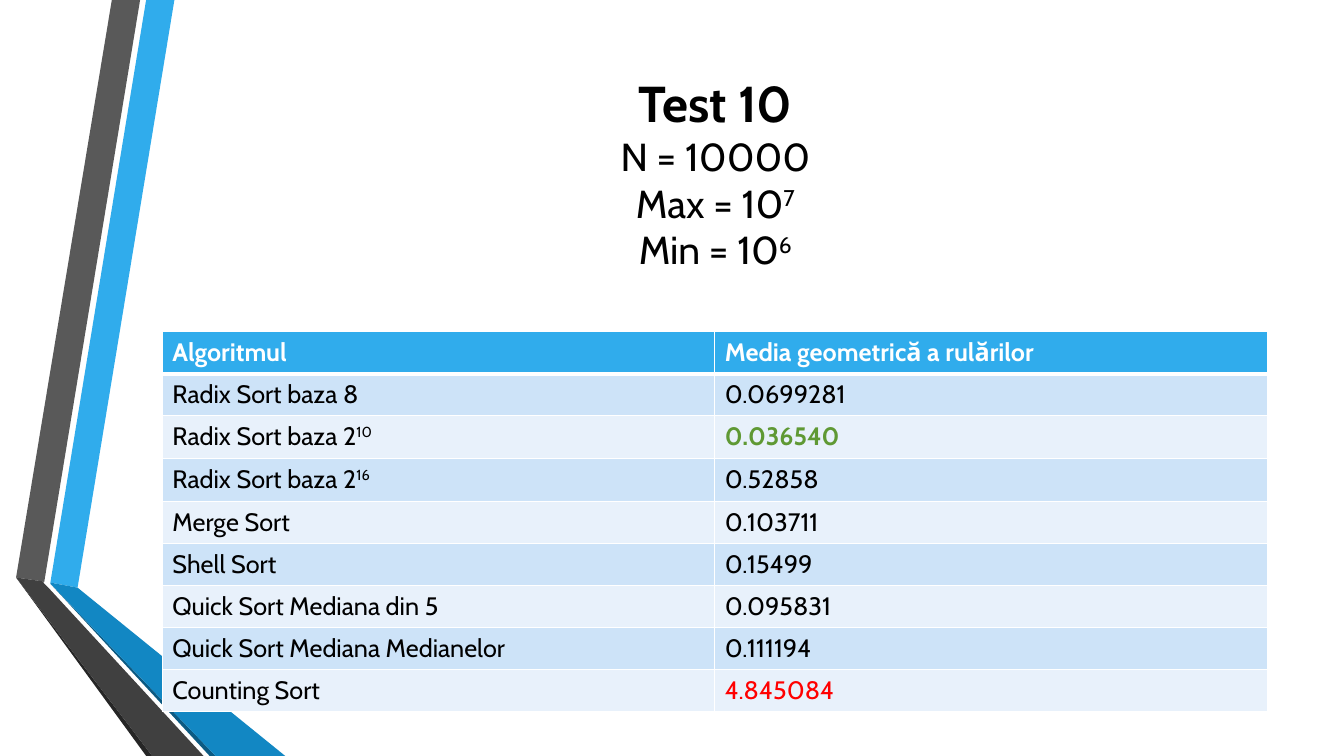
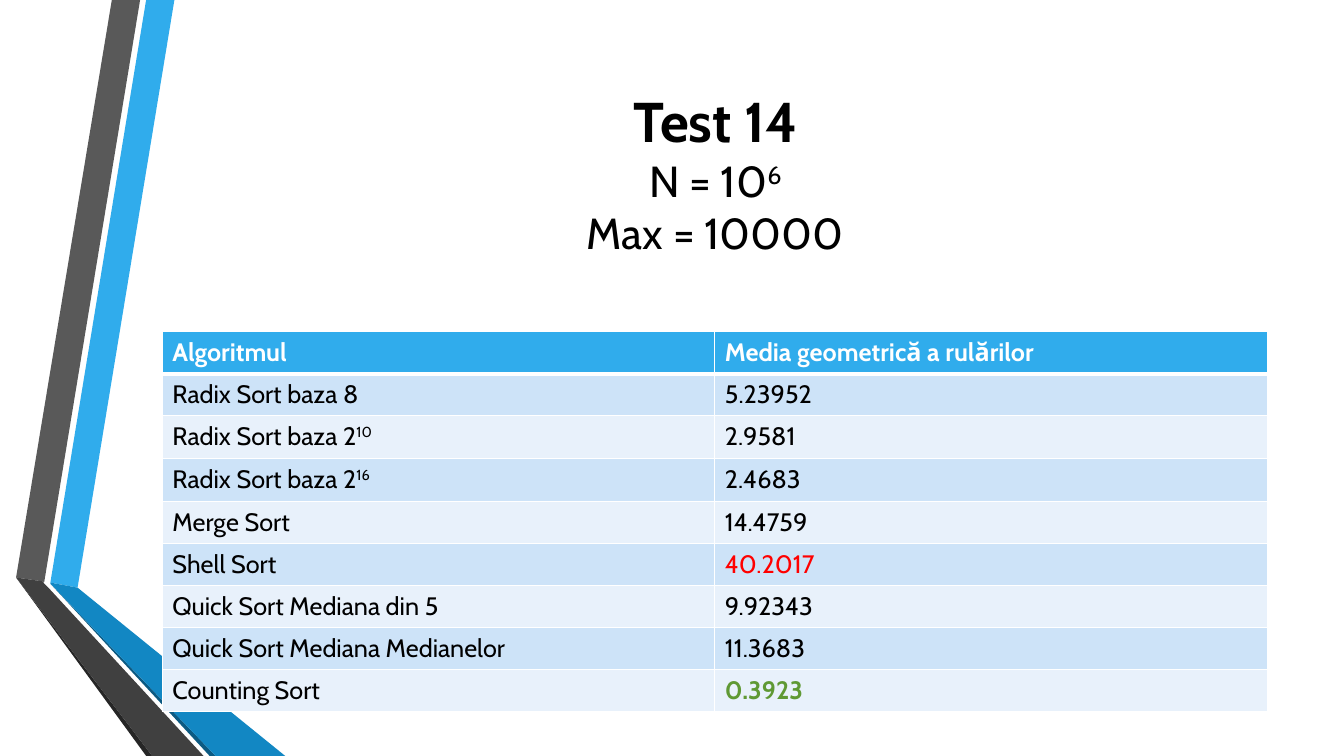
from copy import deepcopy

from lxml.etree import SubElement
from pptx import Presentation
from pptx.dml.color import RGBColor
from pptx.enum.text import MSO_ANCHOR, MSO_AUTO_SIZE, PP_ALIGN
from pptx.oxml.ns import qn
from pptx.util import Inches, Pt

FONT = "Cabin"
COLORS = {
    "text": "000000", "white": "FFFFFF", "header": "30ACEC",
    "odd_row": "CDE3F8", "even_row": "E8F1FB",
    "best": "5F9934", "worst": "FF0000",
    "blue": "30ACEC", "blue_fold": "1287C3", "blue_edge": "0C5A82",
    "grey": "595959", "grey_fold": "404040", "grey_edge": "262626",
}

# Grid of the slide: 240 columns by 180 rows
SLIDE_WIDTH, SLIDE_HEIGHT = Inches(13.33), Inches(7.5)
COLUMN, ROW = SLIDE_WIDTH / 240, SLIDE_HEIGHT / 180
TITLE_BOX = (29.1, 18, 197.3, 46)
TABLE_BOX = (29, 79, 197.3, 90.5)
TABLE_ROW, TALL_TABLE_ROW = 10, 10.25

# Folded ribbons, outlined in hundredths of an inch
RIBBON_UNIT = Inches(0.01)
RIBBONS = [
    ("blue", [(50, 578), (77, 583), (173, 0), (145, 0)]),
    ("grey", [(139, 0), (111, 0), (16, 573), (44, 577)]),
    ("grey_edge", [(16, 573), (145, 750), (151, 750)]),
    ("blue_edge", [(50, 579), (208, 750), (214, 750)]),
    ("blue_fold", [(50, 579), (214, 750), (283, 750), (77, 583), (50, 578)]),
    ("grey_fold", [(202, 750), (48, 583), (43, 578), (44, 577), (16, 573), (151, 750)]),
]

# In all texts, ^ raises what follows it
HEADINGS = ("Algoritmul", "Media geometrică a rulărilor")
ALGORITHMS = [
    "Radix Sort baza 8", "Radix Sort baza 2^10", "Radix Sort baza 2^16",
    "Merge Sort", "Shell Sort", "Quick Sort Mediana din 5",
    "Quick Sort Mediana Medianelor", "Counting Sort",
]
TESTS = [
    {
        "title": ["Test 10", "N = 10000", "Max = 10^7", "Min = 10^6"],
        "sizes": (36, 27.9),
        "means": ["0.0699281", "0.036540", "0.52858", "0.103711",
                  "0.15499", "0.095831", "0.111194", "4.845084"],
    },
    {
        "title": ["Test 14", "N = 10^6", "Max = 10000"],
        "sizes": (40, 31),
        "means": ["5.23952", "2.9581", "2.4683", "14.4759",
                  "40.2017", "9.92343", "11.3683", "0.3923"],
    },
]


def rgb(name):
    return RGBColor.from_string(COLORS[name])


def on_grid(box):
    left, top, width, height = box
    return [round(length) for length in
            (left * COLUMN, top * ROW, width * COLUMN, height * ROW)]


def add_text(paragraph, text, size, color="text", bold=False):
    """Add runs to the paragraph, raising the part after ^."""
    runs = []
    for position, part in enumerate(text.split("^")):
        run = paragraph.add_run()
        run.text = part
        run.font.name = FONT
        run.font.size = Pt(size)
        run.font.bold = bold
        run.font.color.rgb = rgb(color)
        if position:
            run._r.get_or_add_rPr().set("baseline", "30000")
        runs.append(run)
    return runs


def add_ribbons(slide, layout):
    """Draw the ribbons and hand them to the layout all slides share."""
    for color, points in RIBBONS:
        builder = slide.shapes.build_freeform(*points[0], scale=RIBBON_UNIT)
        builder.add_line_segments(points[1:], close=True)
        ribbon = builder.convert_to_shape()
        ribbon.shadow.inherit = False
        ribbon.fill.solid()
        ribbon.fill.fore_color.rgb = rgb(color)
        ribbon.line.fill.background()
        layout.shapes.element.append(ribbon.element)


def fill_title(title, box, lines, sizes):
    title.left, title.top, title.width, title.height = on_grid(box)
    frame = title.text_frame
    frame.auto_size = MSO_AUTO_SIZE.NONE
    frame.word_wrap = True
    frame.vertical_anchor = MSO_ANCHOR.MIDDLE
    paragraph = frame.paragraphs[0]
    paragraph.alignment = PP_ALIGN.CENTER
    for position, line in enumerate(lines):
        first = position == 0
        runs = add_text(paragraph, line, sizes[0 if first else 1], bold=first)
        if position < len(lines) - 1:
            # The break takes the size of its line
            paragraph.add_line_break()
            paragraph._p[-1].append(deepcopy(runs[0]._r.rPr))


def set_borders(cell, top, bottom):
    properties = cell._tc.get_or_add_tcPr()
    for side, points in (("L", 1), ("R", 1), ("T", top), ("B", bottom)):
        border = SubElement(properties, qn(f"a:ln{side}"), w=str(Pt(points)))
        fill = SubElement(border, qn("a:solidFill"))
        SubElement(fill, qn("a:srgbClr"), val=COLORS["white"])


def fill_cell(cell, text, fill, row, color="text", bold=False):
    set_borders(cell, top=3 if row == 1 else 1, bottom=3 if row == 0 else 1)
    cell.fill.solid()
    cell.fill.fore_color.rgb = rgb(fill)
    add_text(cell.text_frame.paragraphs[0], text, 18, color, bold)


def add_results(slide, box, means):
    """Table of mean times, with the best and the worst one marked."""
    table = slide.shapes.add_table(len(means) + 1, len(HEADINGS), *on_grid(box)).table
    best, worst = min(means, key=float), max(means, key=float)
    for column, heading in enumerate(HEADINGS):
        fill_cell(table.cell(0, column), heading, "header", 0, "white", True)
    table.rows[0].height = round(TABLE_ROW * ROW)

    for row, (algorithm, mean) in enumerate(zip(ALGORITHMS, means), start=1):
        fill = "odd_row" if row % 2 else "even_row"
        color = {best: "best", worst: "worst"}.get(mean, "text")
        fill_cell(table.cell(row, 0), algorithm, fill, row)
        fill_cell(table.cell(row, 1), mean, fill, row, color, mean == best)
        height = TALL_TABLE_ROW if "^" in algorithm else TABLE_ROW
        table.rows[row].height = round(height * ROW)


def main():
    presentation = Presentation()
    presentation.slide_width, presentation.slide_height = SLIDE_WIDTH, SLIDE_HEIGHT
    layout = presentation.slide_layouts.get_by_name("Title Only")
    for number, test in enumerate(TESTS):
        slide = presentation.slides.add_slide(layout)
        if number == 0:
            add_ribbons(slide, layout)
        fill_title(slide.shapes.title, TITLE_BOX, test["title"], test["sizes"])
        add_results(slide, TABLE_BOX, test["means"])
    presentation.save("out.pptx")


if __name__ == "__main__":
    main()
